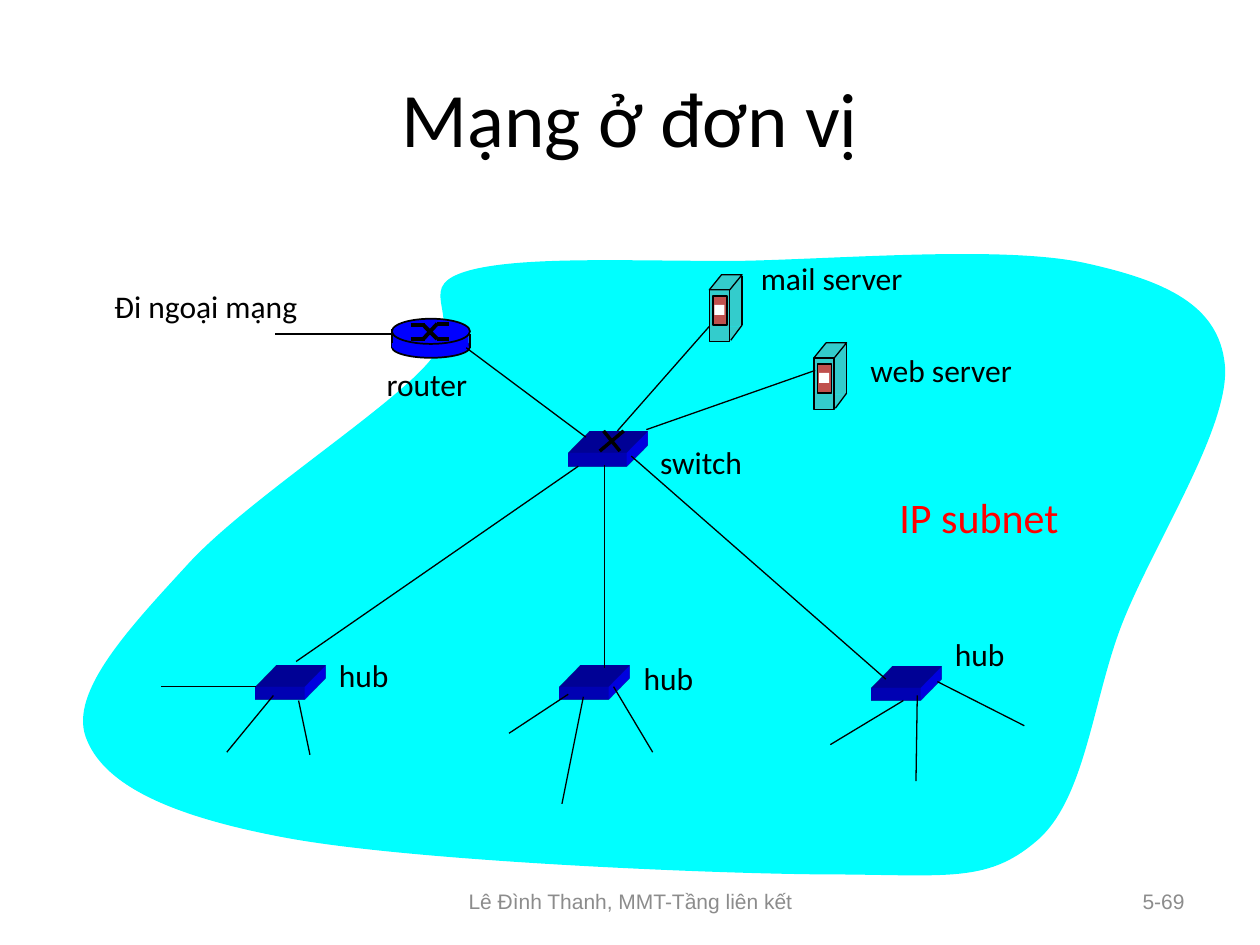
"""Builds the slide showing an organisation's network inside one IP subnet."""
from lxml import etree
from pptx import Presentation
from pptx.dml.color import RGBColor
from pptx.enum import shapes, text
from pptx.oxml import ns
from pptx.util import Inches, Pt

BLACK = RGBColor(0x00, 0x00, 0x00)
WHITE = RGBColor(0xFF, 0xFF, 0xFF)
GREY = RGBColor(0x8C, 0x8C, 0x8C)
RED = RGBColor(0xFF, 0x00, 0x00)
CYAN = RGBColor(0x00, 0xFF, 0xFF)
BLUE = RGBColor(0x00, 0x00, 0xFF)
TEAL = RGBColor(0x33, 0xCC, 0xCC)
BRICK = RGBColor(0xC0, 0x50, 0x4D)

LEFT, CENTER, RIGHT = text.PP_ALIGN.LEFT, text.PP_ALIGN.CENTER, text.PP_ALIGN.RIGHT
RECTANGLE = shapes.MSO_SHAPE.RECTANGLE
ELLIPSE = shapes.MSO_SHAPE.OVAL
PARALLELOGRAM = shapes.MSO_SHAPE.PARALLELOGRAM

EXTRUSION_DEPTH = Inches(0.47)
HUBS = [(4.44, 5.45), (6.92, 5.46), (2.03, 5.45)]
SERVERS = [(6.46, 2.72), (5.63, 2.18)]
HUB_LINKS = [
    (2.03, 5.45, 1.28, 5.45), (2.17, 5.52, 1.8, 5.97), (2.37, 5.56, 2.46, 5.99),
    (4.51, 5.51, 4.04, 5.82), (4.63, 5.53, 4.46, 6.38), (4.87, 5.45, 5.18, 5.97),
    (7.17, 5.56, 6.59, 5.91), (7.28, 5.52, 7.27, 6.2), (7.44, 5.41, 8.13, 5.76),
]
SWITCH_TO_HUBS = [
    (4.59, 3.7, 2.35, 5.25), (4.8, 3.69, 4.8, 5.3), (7.03, 5.39, 5.01, 3.62),
]
SWITCH_TO_SERVERS = [(5.13, 3.41, 6.47, 2.94), (4.9, 3.42, 5.63, 2.59)]
ROUTER_LINKS = [(3.7, 2.76, 4.65, 3.47), (3.11, 2.65, 2.18, 2.65)]
SWITCH_LABELS = [
    ("hub", 2.59, 5.16, 0.62), ("hub", 5.01, 5.18, 0.62), ("hub", 7.48, 4.99, 0.62),
    ("switch", 5.14, 3.47, 0.95),
]
ROUTER_LABELS = [("Đi ngoại mạng", 0.81, 2.23, 1.76), ("router", 2.97, 2.85, 0.96)]
SERVER_LABELS = [("mail server", 5.94, 2.01, 1.49), ("web server", 6.81, 2.74, 1.49)]

SUBNET_BOX = (2.63, -0.13, 5.07, 9.22)
SUBNET_START = (9.72, 2.89)
SUBNET_CURVES = [
    (9.67, 2.42, 9.25, 2.23, 8.62, 2.09), (7.99, 1.95, 6.75, 2.05, 5.93, 2.07),
    (5.11, 2.08, 4.11, 2.02, 3.68, 2.16), (3.26, 2.3, 3.74, 2.52, 3.37, 2.91),
    (3.01, 3.3, 1.92, 4, 1.48, 4.49), (1.03, 4.98, 0.55, 5.49, 0.68, 5.85),
    (0.81, 6.21, 1.3, 6.47, 2.27, 6.65), (3.24, 6.83, 5.51, 6.93, 6.5, 6.94),
    (7.5, 6.94, 7.82, 7.02, 8.22, 6.68), (8.63, 6.34, 8.67, 5.51, 8.93, 4.89),
    (9.19, 4.26, 9.77, 3.36, 9.72, 2.89),
]


def paint(shape, fill, line_width=None):
    """Give a shape a solid fill and an optional black outline."""
    shape.shadow.inherit = False
    shape.fill.solid()
    shape.fill.fore_color.rgb = fill
    if line_width:
        shape.line.color.rgb = BLACK
        shape.line.width = Pt(line_width)
    else:
        shape.line.fill.background()


def add_preset(container, preset, box, fill, line_width=None):
    """Add a preset shape at (left, top, width, height) in inches."""
    shape = container.add_shape(preset, *map(Inches, box))
    paint(shape, fill, line_width)
    if preset == PARALLELOGRAM:
        shape.adjustments[0] = 0.81
    return shape


def add_line(container, ends, width=0.75):
    """Add a straight black line between two points."""
    line = container.add_connector(shapes.MSO_CONNECTOR.STRAIGHT, *map(Inches, ends))
    line.line.color.rgb = BLACK
    line.line.width = Pt(width)
    etree.SubElement(line._element.spPr, ns.qn("a:effectLst"))


def add_text(slide, words, box, size, color=BLACK, font="Calibri", align=LEFT, wrap=False):
    """Add a one-paragraph text box."""
    frame = slide.shapes.add_textbox(*map(Inches, box)).text_frame
    frame.word_wrap = wrap
    if wrap:
        frame.vertical_anchor = text.MSO_ANCHOR.MIDDLE
    else:
        frame.auto_size = text.MSO_AUTO_SIZE.SHAPE_TO_FIT_TEXT
    paragraph = frame.paragraphs[0]
    paragraph.text = words
    paragraph.alignment = align
    paragraph.font.size = Pt(size)
    paragraph.font.name = font
    paragraph.font.color.rgb = color


def add_labels(slide, labels):
    """Add the names of devices."""
    for words, left, top, width in labels:
        add_text(slide, words, (left, top, width, 0.4), 18)


def add_subnet(slide):
    """Draw the subnet area as an outline of cubic curves, turned a quarter."""
    left, top, width, height = SUBNET_BOX
    page_right = left + (width + height) / 2
    page_top = top + (height - width) / 2

    def append_point(parent, x, y):
        etree.SubElement(parent, ns.qn("a:pt"), x=str(Inches(y - page_top)),
                         y=str(Inches(page_right - x)))

    builder = slide.shapes.build_freeform(0, 0)
    builder.add_line_segments([(Inches(width), Inches(height))], close=True)
    shape = builder.convert_to_shape()
    shape.left, shape.top, shape.width, shape.height = map(Inches, SUBNET_BOX)
    shape.rotation = 90
    paint(shape, CYAN)
    outline = shape._element.spPr.find(".//" + ns.qn("a:path"))
    for command in list(outline):
        outline.remove(command)
    append_point(etree.SubElement(outline, ns.qn("a:moveTo")), *SUBNET_START)
    for curve in SUBNET_CURVES:
        command = etree.SubElement(outline, ns.qn("a:cubicBezTo"))
        for x, y in zip(curve[::2], curve[1::2]):
            append_point(command, x, y)
    etree.SubElement(outline, ns.qn("a:close"))


def add_box(container, left, top, width, height):
    """Draw a blue box extruded towards the top right."""
    properties = add_preset(container, RECTANGLE, (left, top, width, height), BLUE)._element.spPr
    scene = etree.SubElement(properties, ns.qn("a:scene3d"))
    etree.SubElement(scene, ns.qn("a:camera"), prst="legacyObliqueTopRight")
    etree.SubElement(scene, ns.qn("a:lightRig"), rig="legacyFlat3", dir="b")
    solid = etree.SubElement(properties, ns.qn("a:sp3d"), extrusionH=str(EXTRUSION_DEPTH),
                             prstMaterial="legacyMatte")
    color = etree.SubElement(solid, ns.qn("a:extrusionClr"))
    etree.SubElement(color, ns.qn("a:srgbClr"), val=str(BLUE))


def add_switch(slide):
    """Draw the switch with its cross."""
    group = slide.shapes.add_group_shape().shapes
    add_box(group, 4.51, 3.59, 0.46, 0.11)
    add_line(group, (4.79, 3.42, 4.92, 3.58), 2)
    add_line(group, (4.95, 3.42, 4.76, 3.58), 2)


def add_server(slide, x, y):
    """Draw a server tower with its top left corner at x, y."""
    group = slide.shapes.add_group_shape().shapes
    add_preset(group, PARALLELOGRAM, (x, y + 0.41, 0.26, 0.12), TEAL)
    add_preset(group, RECTANGLE, (x + 0.14, y, 0.12, 0.41), TEAL)
    add_preset(group, RECTANGLE, (x, y + 0.12, 0.16, 0.41), TEAL, 0.75)
    add_preset(group, PARALLELOGRAM, (x, y, 0.26, 0.12), TEAL, 0.75)
    add_line(group, (x + 0.26, y + 0.01, x + 0.26, y + 0.4))
    add_line(group, (x + 0.26, y + 0.4, x + 0.17, y + 0.52))
    add_preset(group, RECTANGLE, (x + 0.03, y + 0.17, 0.11, 0.23), BRICK, 0.75)
    add_preset(group, RECTANGLE, (x + 0.04, y + 0.24, 0.08, 0.08), WHITE)


def add_router(slide):
    """Draw the router disc with its crossing paths."""
    group = slide.shapes.add_group_shape().shapes
    add_preset(group, ELLIPSE, (3.11, 2.67, 0.62, 0.17), BLUE, 1)
    for x in (3.11, 3.73):
        add_line(group, (x, 2.65, x, 2.76), 1)
    add_preset(group, RECTANGLE, (3.11, 2.65, 0.61, 0.11), BLUE)
    add_preset(group, ELLIPSE, (3.11, 2.53, 0.62, 0.2), BLUE, 1)
    for start, end in ((2.58, 2.69), (2.69, 2.57)):
        add_line(group, (3.26, start, 3.37, start), 2.25)
        add_line(group, (3.47, end, 3.56, end), 2.25)
        add_line(group, (3.36, start, 3.47, end), 2.25)
    add_line(group, (3.11, 2.61, 3.11, 2.72), 1)


def add_links(slide, links):
    """Add the cables between devices."""
    for ends in links:
        add_line(slide.shapes, ends)


def main():
    """Build and save the slide."""
    presentation = Presentation()
    presentation.slide_width, presentation.slide_height = Inches(10), Inches(7.5)
    slide = presentation.slides.add_slide(presentation.slide_layouts[6])
    add_text(slide, "Lê Đình Thanh, MMT-Tầng liên kết", (3.42, 6.95, 3.17, 0.4),
             12, GREY, "Arial", CENTER, True)
    add_text(slide, "5-69", (7.17, 6.95, 2.33, 0.4), 12, GREY, "Arial", RIGHT, True)
    add_subnet(slide)
    add_text(slide, "Mạng ở đơn vị", (0.5, 0.3, 9, 1.25), 44, align=CENTER, wrap=True)
    for left, top in HUBS:
        add_box(slide.shapes, left, top, 0.39, 0.1)
    add_links(slide, HUB_LINKS)
    add_switch(slide)
    add_links(slide, SWITCH_TO_HUBS)
    add_labels(slide, SWITCH_LABELS)
    for x, y in SERVERS:
        add_server(slide, x, y)
    add_links(slide, SWITCH_TO_SERVERS)
    add_router(slide)
    add_links(slide, ROUTER_LINKS)
    add_labels(slide, ROUTER_LABELS)
    add_text(slide, "IP subnet", (7.04, 3.85, 1.7, 0.5), 24, RED)
    add_labels(slide, SERVER_LABELS)
    presentation.save("out.pptx")


if __name__ == "__main__":
    main()
